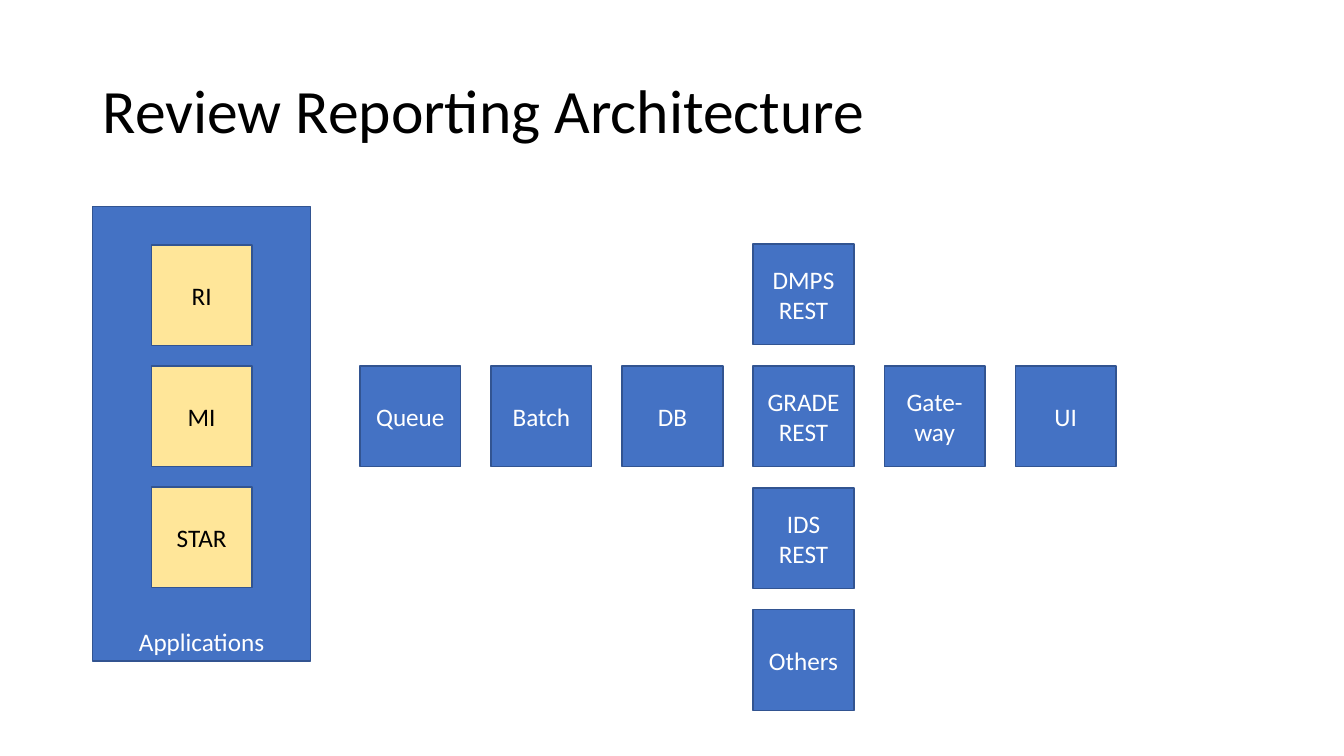
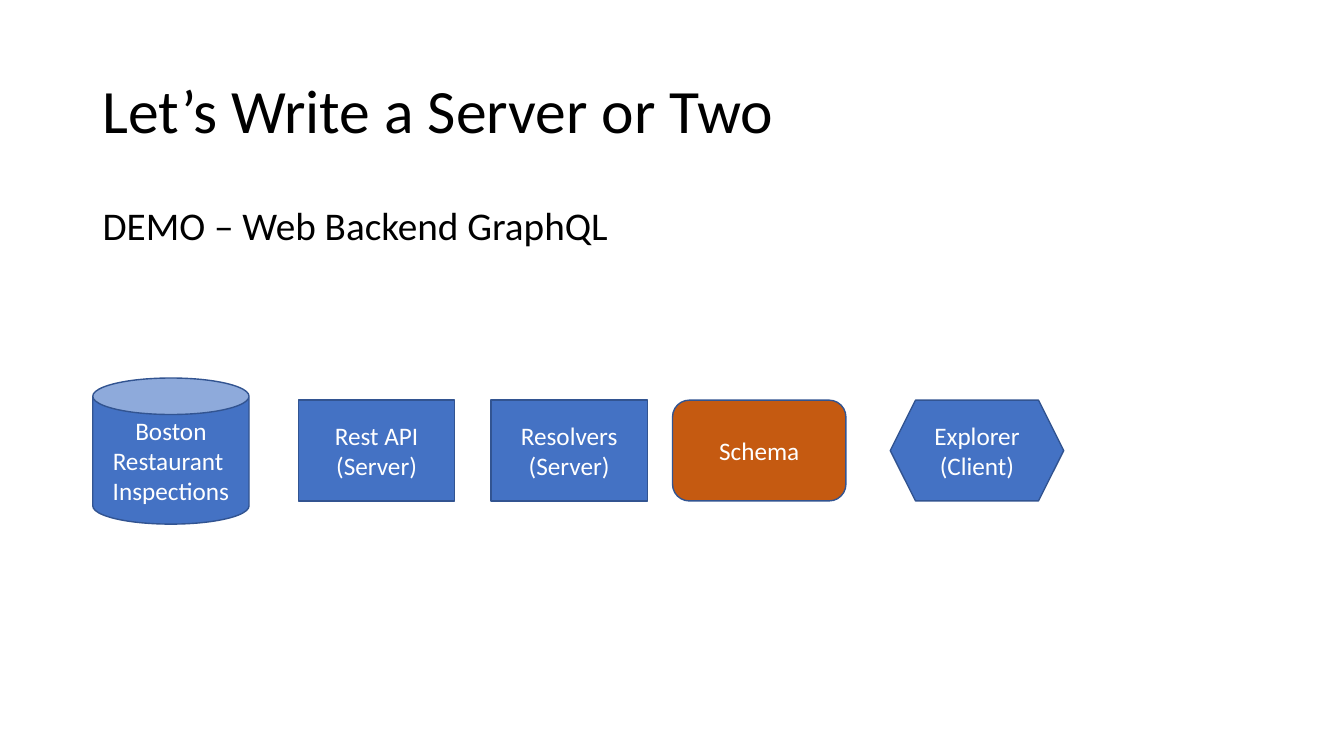
from pptx import Presentation
from pptx.dml.color import RGBColor
from pptx.enum.shapes import MSO_SHAPE as SHAPE
from pptx.enum.text import MSO_ANCHOR as ANCHOR, PP_ALIGN as ALIGN
from pptx.util import Inches, Pt

COLORS = {
    "blue": "4472C4",
    "edge": "325491",
    "yellow": "FFE699",
    "orange": "C55A11",
    "black": "000000",
    "white": "FFFFFF",
}
FONT = "Calibri"
MARGIN = 0.92


def add_text(slide, text, top, height, size, anchor, space_before=0):
    box = slide.shapes.add_textbox(Inches(MARGIN), Inches(top), Inches(11.5), Inches(height))
    frame = box.text_frame
    frame.word_wrap = True
    frame.vertical_anchor = anchor
    frame.text = text
    line = frame.paragraphs[0]
    line.line_spacing = 0.9
    line.space_before = Pt(space_before)
    line.font.size = Pt(size)
    line.font.name = FONT
    line.font.color.rgb = RGBColor.from_string(COLORS["black"])


def add_node(slide, text, left, top, width=1, height=1, kind=SHAPE.RECTANGLE,
             fill="blue", ink="white", anchor=ANCHOR.MIDDLE):
    node = slide.shapes.add_shape(kind, Inches(left), Inches(top), Inches(width), Inches(height))
    node.shadow.inherit = False
    node.fill.solid()
    node.fill.fore_color.rgb = RGBColor.from_string(COLORS[fill])
    node.line.color.rgb = RGBColor.from_string(COLORS["edge"])
    node.line.width = Pt(1)
    frame = node.text_frame
    frame.word_wrap = True
    frame.vertical_anchor = anchor
    frame.text = text
    for line in frame.paragraphs:
        line.alignment = ALIGN.CENTER
        line.font.size = Pt(18)
        line.font.name = FONT
        line.font.color.rgb = RGBColor.from_string(COLORS[ink])


deck = Presentation()
deck.slide_width = Inches(13.33)
deck.slide_height = Inches(7.5)
architecture, demo = [deck.slides.add_slide(deck.slide_layouts[6]) for _ in range(2)]
for slide, title in ((architecture, "Review Reporting Architecture"),
                     (demo, "Let’s Write a Server or Two")):
    add_text(slide, title, 0.4, 1.45, 44, ANCHOR.MIDDLE)

add_node(architecture, "Applications", MARGIN, 2.05, 2.16, 4.51, anchor=ANCHOR.BOTTOM)
for row, application in enumerate(["RI", "MI", "STAR"]):
    add_node(architecture, application, 1.5, 2.43 + 1.2 * row, fill="yellow", ink="black")

pipeline_left, pipeline_top, column_step = 3.57, 3.63, 1.3
pipeline = ["Queue", "Batch", "DB", "GRADE\nREST", "Gate-way", "UI"]
for column, stage in enumerate(pipeline):
    add_node(architecture, stage, pipeline_left + column_step * column, pipeline_top)

service_left = pipeline_left + 3 * column_step
for row, service in ((-1, "DMPS REST"), (1, "IDS\nREST"), (2, "Others")):
    add_node(architecture, service, service_left, pipeline_top + 1.21 * row)

add_text(demo, "DEMO – Web Backend GraphQL", 2, 4.76, 28, ANCHOR.TOP, space_before=10)
add_node(demo, "Boston Restaurant \nInspections", MARGIN, 3.75, 1.55, 1.45, SHAPE.CAN)
for text, left, width, kind, fill in (
    ("Rest API\n(Server)", 2.96, 1.55, SHAPE.RECTANGLE, "blue"),
    ("Resolvers (Server)", 4.87, 1.55, SHAPE.RECTANGLE, "blue"),
    ("Schema", 6.67, 1.72, SHAPE.ROUNDED_RECTANGLE, "orange"),
    ("Explorer\n(Client)", 8.83, 1.72, SHAPE.HEXAGON, "blue"),
):
    add_node(demo, text, left, 3.97, width, kind=kind, fill=fill)

deck.save("out.pptx")
